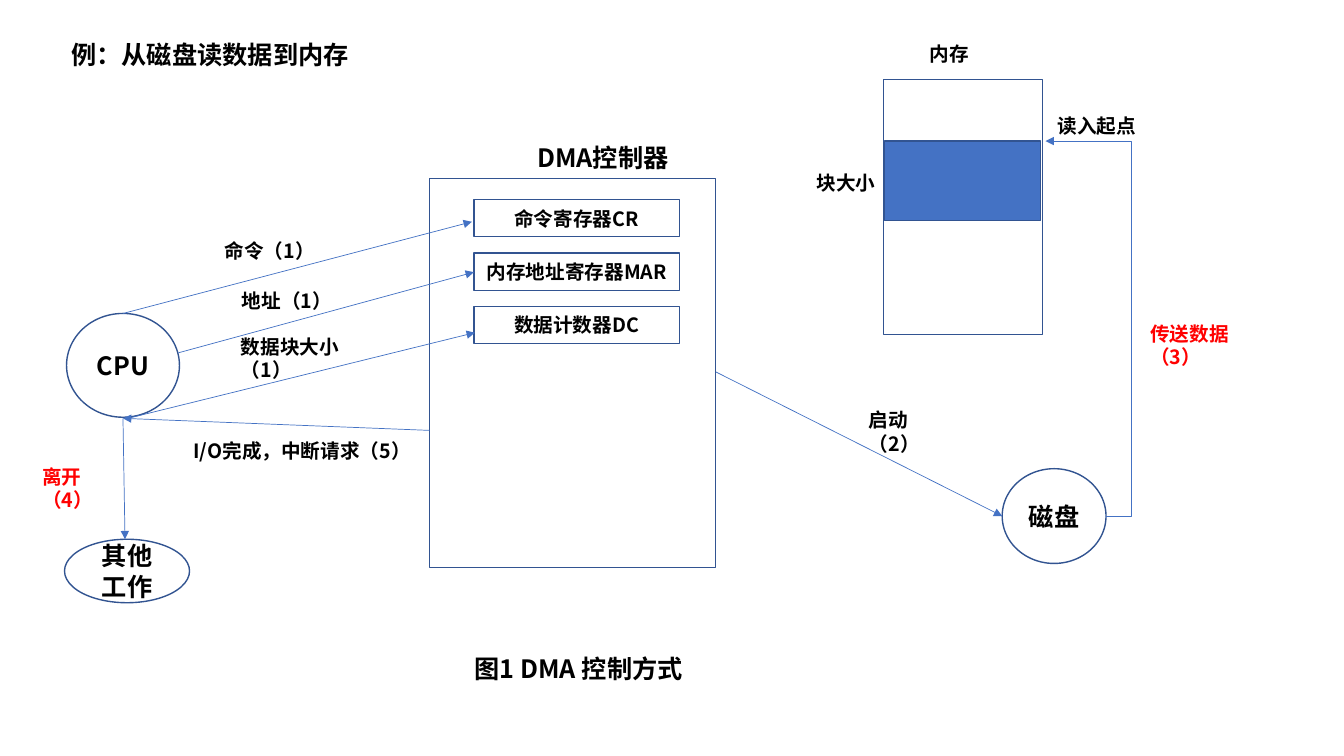
from dataclasses import dataclass
from typing import Optional

import lxml.etree
import pptx
import pptx.dml.color
import pptx.enum.shapes
import pptx.enum.text
import pptx.oxml.ns
import pptx.util

Inches = pptx.util.Inches
SHAPE = pptx.enum.shapes.MSO_SHAPE
CONNECTOR = pptx.enum.shapes.MSO_CONNECTOR
qn = pptx.oxml.ns.qn


@dataclass(frozen=True)
class Theme:
    font: str = "Noto Sans CJK SC"
    black: str = "000000"
    red: str = "FF0000"
    white: str = "FFFFFF"
    blue: str = "4472C4"
    outline: str = "325491"
    large: float = 18
    small: float = 14
    outline_width: float = 1
    arrow_width: float = 0.5


THEME = Theme()


@dataclass(frozen=True)
class Node:
    kind: int
    left: float
    top: float
    width: float
    height: float
    text: str = ""
    size: float = THEME.large
    fill: Optional[str] = None


@dataclass(frozen=True)
class Label:
    text: str
    left: float
    top: float
    width: float
    size: float = THEME.small
    color: str = THEME.black


@dataclass(frozen=True)
class Arrow:
    x1: float
    y1: float
    x2: float
    y2: float
    bend: Optional[float] = None  # x of the vertical leg


def rgb(color: str) -> pptx.dml.color.RGBColor:
    return pptx.dml.color.RGBColor.from_string(color)


def write(tf, text: str, size: float, color: str) -> None:
    tf.word_wrap = True
    tf.text = text
    r = tf.paragraphs[0].runs[0]
    r.font.name = THEME.font
    r.font.size = pptx.util.Pt(size)
    r.font.bold = True
    r.font.color.rgb = rgb(color)
    ea = lxml.etree.SubElement(r.font._element, qn("a:ea"))
    ea.set("typeface", THEME.font)


def draw_node(slide, node: Node) -> None:
    sp = slide.shapes.add_shape(node.kind, Inches(node.left), Inches(node.top),
                                Inches(node.width), Inches(node.height))
    sp.shadow.inherit = False
    if node.fill:
        sp.fill.solid()
        sp.fill.fore_color.rgb = rgb(node.fill)
    else:
        sp.fill.background()
    sp.line.color.rgb = rgb(THEME.outline)
    sp.line.width = pptx.util.Pt(THEME.outline_width)
    if node.text:
        tf = sp.text_frame
        write(tf, node.text, node.size, THEME.black)
        tf.vertical_anchor = pptx.enum.text.MSO_ANCHOR.MIDDLE
        tf.paragraphs[0].alignment = pptx.enum.text.PP_ALIGN.CENTER


def draw_label(slide, label: Label) -> None:
    height = 0.4 if label.size == THEME.large else 0.34
    sp = slide.shapes.add_textbox(Inches(label.left), Inches(label.top),
                                  Inches(label.width), Inches(height))
    write(sp.text_frame, label.text, label.size, label.color)
    sp.text_frame.auto_size = pptx.enum.text.MSO_AUTO_SIZE.SHAPE_TO_FIT_TEXT


def draw_arrow(slide, arrow: Arrow) -> None:
    kind = CONNECTOR.STRAIGHT if arrow.bend is None else CONNECTOR.ELBOW
    c = slide.shapes.add_connector(kind, Inches(arrow.x1), Inches(arrow.y1),
                                   Inches(arrow.x2), Inches(arrow.y2))
    c.line.color.rgb = rgb(THEME.blue)
    c.line.width = pptx.util.Pt(THEME.arrow_width)
    sppr = c._element.spPr
    tail = lxml.etree.SubElement(sppr.find(qn("a:ln")), qn("a:tailEnd"))
    tail.set("type", "triangle")
    lxml.etree.SubElement(sppr, qn("a:effectLst"))
    if arrow.bend is not None:
        share = (arrow.bend - arrow.x1) / (arrow.x2 - arrow.x1)
        geometry = sppr.find(qn("a:prstGeom"))
        guides = geometry.find(qn("a:avLst"))
        if guides is None:
            guides = lxml.etree.SubElement(geometry, qn("a:avLst"))
        guide = lxml.etree.SubElement(guides, qn("a:gd"))
        guide.set("name", "adj1")
        guide.set("fmla", f"val {round(share * 100000)}")


REGISTERS = ["命令寄存器CR", "内存地址寄存器MAR", "数据计数器DC"]
REGISTER_TOP, REGISTER_PITCH = 1.98, 0.53

NODES = [
    Node(SHAPE.OVAL, 0.66, 3.11, 1.12, 1.03, "CPU"),
    Node(SHAPE.OVAL, 9.94, 4.65, 1.03, 0.94, "磁盘"),
    Node(SHAPE.OVAL, 0.64, 5.35, 1.24, 0.63, "其他工作"),
    # DMA controller and its registers
    Node(SHAPE.RECTANGLE, 4.26, 1.77, 2.84, 3.86),
    *(Node(SHAPE.RECTANGLE, 4.7, REGISTER_TOP + i * REGISTER_PITCH, 2.04, 0.37,
           name, THEME.small) for i, name in enumerate(REGISTERS)),
    # Memory and the block read into it
    Node(SHAPE.RECTANGLE, 8.76, 0.79, 1.58, 2.53, fill=THEME.white),
    Node(SHAPE.RECTANGLE, 8.77, 1.4, 1.55, 0.79, fill=THEME.blue),
]

ARROWS = [
    # CPU to registers
    Arrow(1.22, 3.11, 4.68, 2.2),
    Arrow(1.77, 3.5, 4.7, 2.7),
    Arrow(1.27, 4.15, 4.71, 3.3),
    # Start, transfer, leave, interrupt
    Arrow(7.1, 3.69, 9.94, 5.12),
    Arrow(10.97, 5.12, 10.37, 1.4, bend=11.22),
    Arrow(1.22, 4.15, 1.24, 5.35),
    Arrow(4.26, 4.27, 1.22, 4.15),
]

LABELS = [
    # Headings and caption
    Label("例：从磁盘读数据到内存", 0.61, 0.34, 3.6, THEME.large),
    Label("DMA控制器", 5.23, 1.36, 1.68, THEME.large),
    Label("图1 DMA 控制方式", 4.61, 6.43, 2.46, THEME.large),
    # Memory
    Label("内存", 9.12, 0.37, 0.65),
    Label("读入起点", 10.39, 1.08, 1.07),
    Label("块大小", 8, 1.65, 0.8),
    # Numbered steps
    Label("命令（1）", 2.13, 2.32, 1.33),
    Label("地址（1）", 2.3, 2.82, 1.33),
    Label("数据块大小（1）", 2.29, 3.27, 1.56),
    Label("启动（2）", 8.52, 4, 0.93),
    Label("传送数据（3）", 11.31, 3.14, 1.33, color=THEME.red),
    Label("离开（4）", 0.32, 4.56, 1, color=THEME.red),
    Label("I/O完成，中断请求（5）", 1.82, 4.31, 2.63),
]


def main() -> None:
    prs = pptx.Presentation()
    prs.slide_width, prs.slide_height = Inches(13.33), Inches(7.5)
    slide = prs.slides.add_slide(prs.slide_layouts[6])
    for node in NODES:
        draw_node(slide, node)
    for arrow in ARROWS:
        draw_arrow(slide, arrow)
    for label in LABELS:
        draw_label(slide, label)
    prs.save("out.pptx")


if __name__ == "__main__":
    main()
